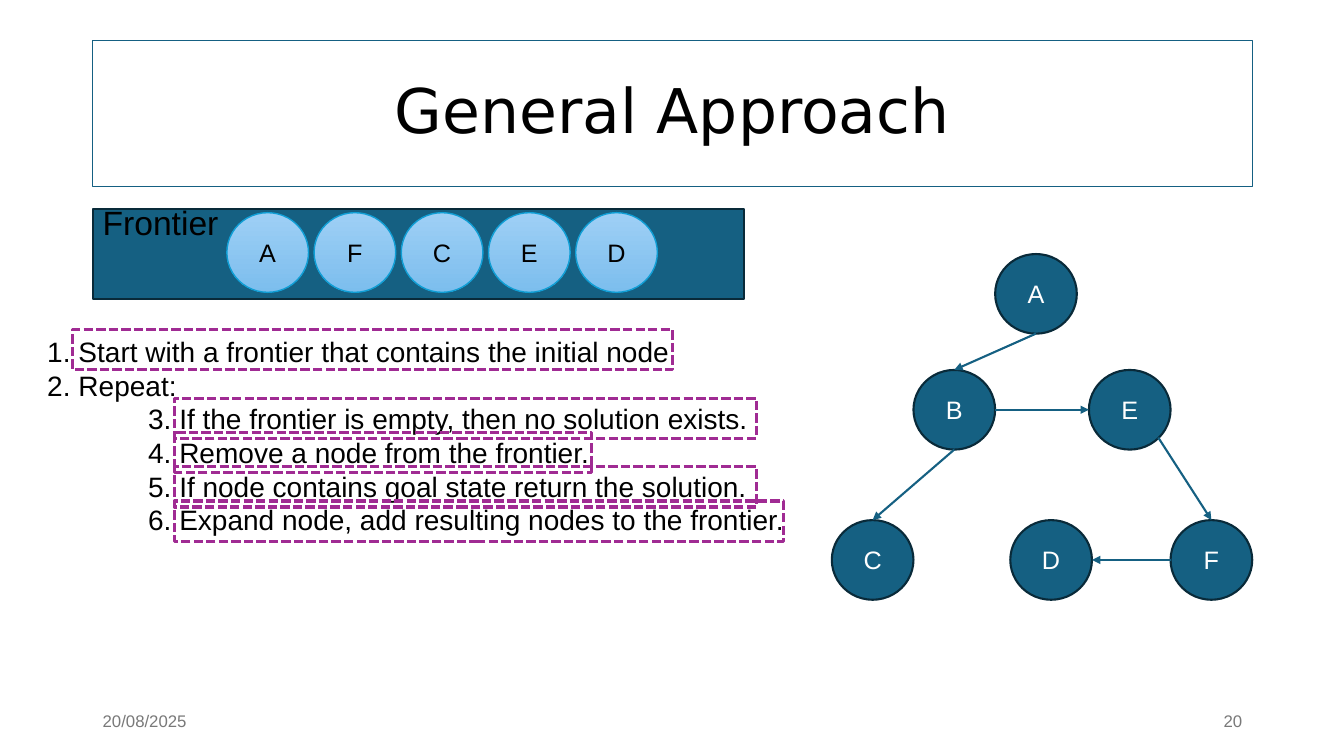
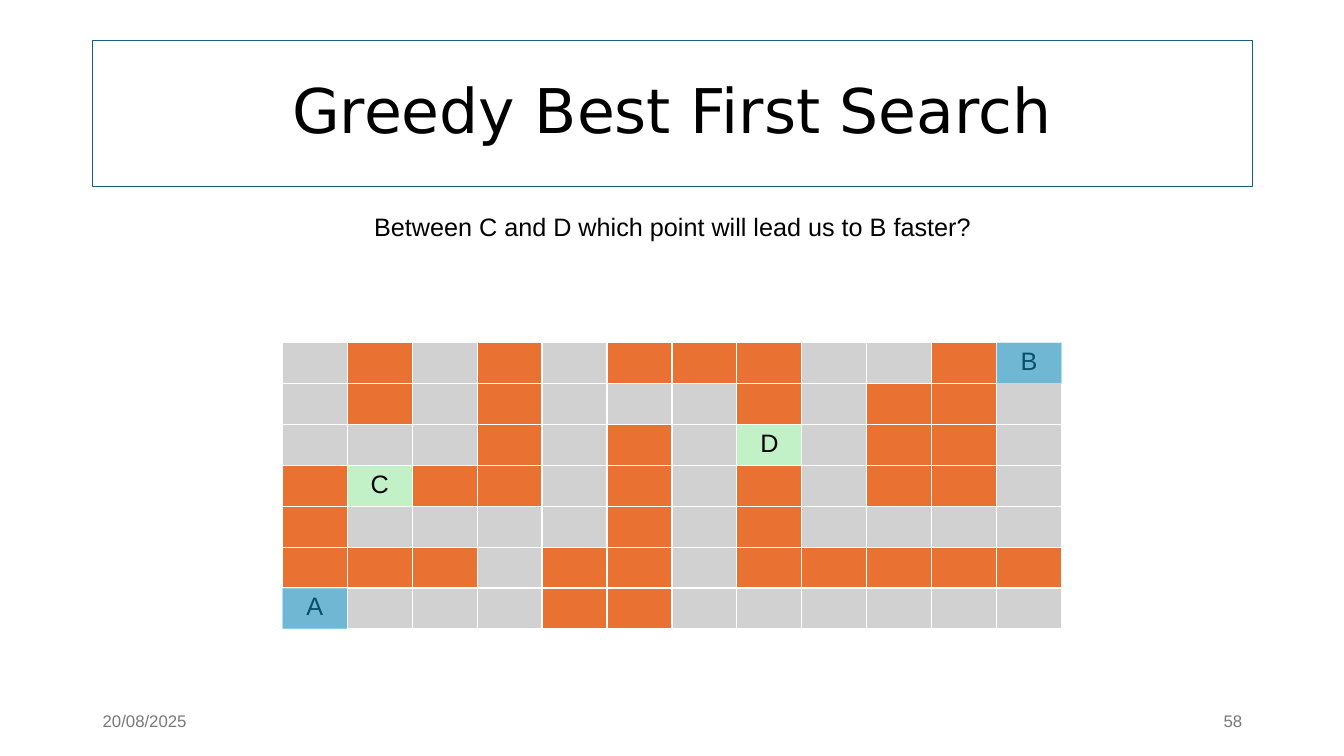
from pptx import Presentation
from pptx.dml.color import RGBColor as RGB
from pptx.enum.dml import MSO_LINE as Dash
from pptx.enum.shapes import MSO_CONNECTOR as Link, MSO_SHAPE as Shape
from pptx.enum.text import MSO_ANCHOR as Anchor, PP_ALIGN as Align
from pptx.oxml.ns import qn
from pptx.util import Inches, Pt
from lxml.etree import SubElement as Sub

TEAL = RGB(0x15, 0x60, 0x82)
NAVY = RGB(0x09, 0x2A, 0x39)
BLUE = RGB(0x0F, 0x9E, 0xD5)
PALE = RGB(0x9E, 0xCF, 0xF5)
SKY = RGB(0x7C, 0xBE, 0xED)
PURPLE = RGB(0xA0, 0x2B, 0x93)
ORANGE = RGB(0xE9, 0x71, 0x32)
SILVER = RGB(0xD1, 0xD1, 0xD1)
GREEN = RGB(0xC2, 0xF1, 0xC8)
GREY = RGB(0x79, 0x79, 0x79)
BLACK = RGB(0, 0, 0)
WHITE = RGB(255, 255, 255)

LEFT, WIDE = 0.92, 11.5
NODE_W, NODE_H = 0.81, 0.79
DATE = "20/08/2025"

NODES = {
    "A": (1.62, 0), "B": (0.81, 1.15), "E": (2.55, 1.15),
    "C": (0, 2.64), "D": (1.77, 2.64), "F": (3.36, 2.64),
}
PORTS = {"top": (0.5, 0), "left": (0, 0.5), "base": (0.5, 1),
         "right": (1, 0.5), "corner": (0.85, 0.85)}
EDGES = [
    ("A", "base", "B", "top"), ("B", "base", "C", "top"),
    ("F", "left", "D", "right"), ("B", "right", "E", "left"),
    ("E", "corner", "F", "top"),
]
STEPS = [
    (0, 1, "Start with a frontier that contains the initial node.", 5.95),
    (0, 2, "Repeat:", None),
    (1, 3, "If the frontier is empty, then no solution exists.", 5.77),
    (1, 4, "Remove a node from the frontier.", 4.14),
    (1, 5, "If node contains goal state return the solution.", 5.77),
    (1, 6, "Expand node, add resulting nodes to the frontier.", 6.04),
]
MAZE = [
    ".#.#.###..#B",
    ".#.#...#.##.",
    "...#.#.D.##.",
    "#C##.#.#.##.",
    "#....#.#....",
    "###.##.#####",
    "A...##......",
]
FILLS = {"#": ORANGE, "C": GREEN, "D": GREEN}


def box(*sides):
    return [Inches(side) for side in sides]


def style(para, size, color=BLACK, align=None, face="Arial"):
    para.alignment = align
    para.font.size = Pt(size)
    para.font.name = face
    para.font.color.rgb = color


def label(slide, at, text, size, color=BLACK, align=None, anchor=Anchor.TOP):
    frame = slide.shapes.add_textbox(*box(*at)).text_frame
    frame.word_wrap = True
    frame.vertical_anchor = anchor
    frame.text = text
    style(frame.paragraphs[0], size, color, align)
    return frame


def block(slide, kind, at, fill=None, line=None, width=1.5):
    shape = slide.shapes.add_shape(kind, *box(*at))
    shape.shadow.inherit = False
    if fill is None:
        shape.fill.background()
    else:
        shape.fill.solid()
        shape.fill.fore_color.rgb = fill
    if line is None:
        shape.line.fill.background()
    else:
        shape.line.color.rgb = line
        shape.line.width = Pt(width)
    return shape


def node(slide, x, y, name, color=WHITE, fill=TEAL, line=NAVY, width=1.5):
    shape = block(slide, Shape.OVAL, (x, y, NODE_W, NODE_H), fill, line, width)
    frame = shape.text_frame
    frame.vertical_anchor = Anchor.MIDDLE
    frame.text = name
    style(frame.paragraphs[0], 18, color, Align.CENTER)
    return shape


def arrow(slide, start, end):
    line = slide.shapes.add_connector(Link.STRAIGHT, *box(*start, *end))
    line.line.color.rgb = TEAL
    line.line.width = Pt(1.5)
    Sub(line.line._get_or_add_ln(), qn("a:tailEnd"), type="triangle")
    Sub(line._element.spPr, qn("a:effectLst"))


def page(deck, title, number):
    slide = deck.slides.add_slide(deck.slide_layouts[5])
    head = slide.shapes.title
    head.left, head.top, head.width, head.height = box(LEFT, 0.4, WIDE, 1.45)
    head.line.color.rgb = TEAL
    head.line.width = Pt(0.75)
    head.text_frame.text = title
    head.text_frame.vertical_anchor = Anchor.MIDDLE
    para = head.text_frame.paragraphs[0]
    style(para, 44, BLACK, Align.CENTER, "DejaVu Sans")
    para.line_spacing = 0.9
    for x, text, align in ((LEFT, DATE, Align.LEFT),
                           (LEFT + WIDE - 3, number, Align.RIGHT)):
        label(slide, (x, 6.95, 3, 0.4), text, 12, GREY, align, Anchor.MIDDLE)
    return slide


def queue(slide, x, y, w, h, names):
    block(slide, Shape.RECTANGLE, (x, y, w, h), TEAL, NAVY)
    frame = label(slide, (x, y - 0.07, 1.5, 0.5), "Frontier", 24)
    frame.paragraphs[0].line_spacing = 0.9
    step = 3.46 / (len(names) - 1)
    for i, name in enumerate(names):
        disc = node(slide, x + 1.33 + i * step, y + 0.04, name,
                    BLACK, SKY, BLUE, 1)
        disc.fill.gradient()
        disc.fill.gradient_angle = 270
        for stop, color in zip(disc.fill.gradient_stops, (PALE, SKY)):
            stop.color.rgb = color


def graph(slide, x, y):
    for name, (dx, dy) in NODES.items():
        node(slide, x + dx, y + dy, name)

    def port(name, side):
        (dx, dy), (u, v) = NODES[name], PORTS[side]
        return x + dx + u * NODE_W, y + dy + v * NODE_H

    for tail, out, head, into in EDGES:
        arrow(slide, port(tail, out), port(head, into))


def steps(slide, x, y, w, h):
    frame = label(slide, (x, y, w, h), "", 20)
    for row, (level, count, text, span) in enumerate(STEPS):
        para = frame.add_paragraph() if row else frame.paragraphs[0]
        para.text = text
        para.level = level
        para.line_spacing = Pt(24)
        props = para._p.get_or_add_pPr()
        props.set("marL", str(Inches(0.31 + level)))
        props.set("indent", str(Inches(-0.31)))
        Sub(props, qn("a:buFont"), typeface="Arial")
        Sub(props, qn("a:buAutoNum"), type="arabicPeriod",
            startAt="3" if level else "1")
        style(para, 20)
        if span:
            mark = (x + 0.35 + 1.01 * level, y + 0.34 * row, span, 0.4)
            frame_line = block(slide, Shape.RECTANGLE, mark, None, PURPLE, 2.25)
            frame_line.line.dash_style = Dash.SQUARE_DOT


def maze(slide, x, y, w, h):
    rows, cols = len(MAZE), len(MAZE[0])
    dx, dy = w / cols, h / rows
    table = slide.shapes.add_table(rows, cols, *box(x, y, w, h)).table
    table.first_row = table.horz_banding = False
    for col in table.columns:
        col.width = Inches(dx)
    for r, line in enumerate(MAZE):
        table.rows[r].height = Inches(dy)
        for c, mark in enumerate(line):
            cell = table.cell(r, c)
            cell.fill.solid()
            cell.fill.fore_color.rgb = FILLS.get(mark, SILVER)
            if mark.isalpha():
                cell.text = mark
                style(cell.text_frame.paragraphs[0], 18, BLACK, Align.CENTER)
            if mark in "AB":
                tint = block(slide, Shape.RECTANGLE,
                             (x + c * dx, y + r * dy, dx, dy), BLUE)
                color = tint.fill._xPr.find(qn("a:solidFill"))[0]
                Sub(color, qn("a:alpha"), val="50000")


def main():
    deck = Presentation()
    deck.slide_width, deck.slide_height = box(13.33, 7.5)

    slide = page(deck, "General Approach", "20")
    queue(slide, LEFT, 2.07, 6.46, 0.9, "AFCED")
    graph(slide, 8.25, 2.52)
    steps(slide, 0.37, 3.27, 7.74, 2.12)

    slide = page(deck, "Greedy Best First Search", "58")
    label(slide, (3.58, 2.05, 6.18, 0.4),
          "Between C and D which point will lead us to B faster?",
          18, BLACK, Align.CENTER)
    maze(slide, 2.8, 3.4, 7.73, 2.84)

    deck.save("out.pptx")


if __name__ == "__main__":
    main()
